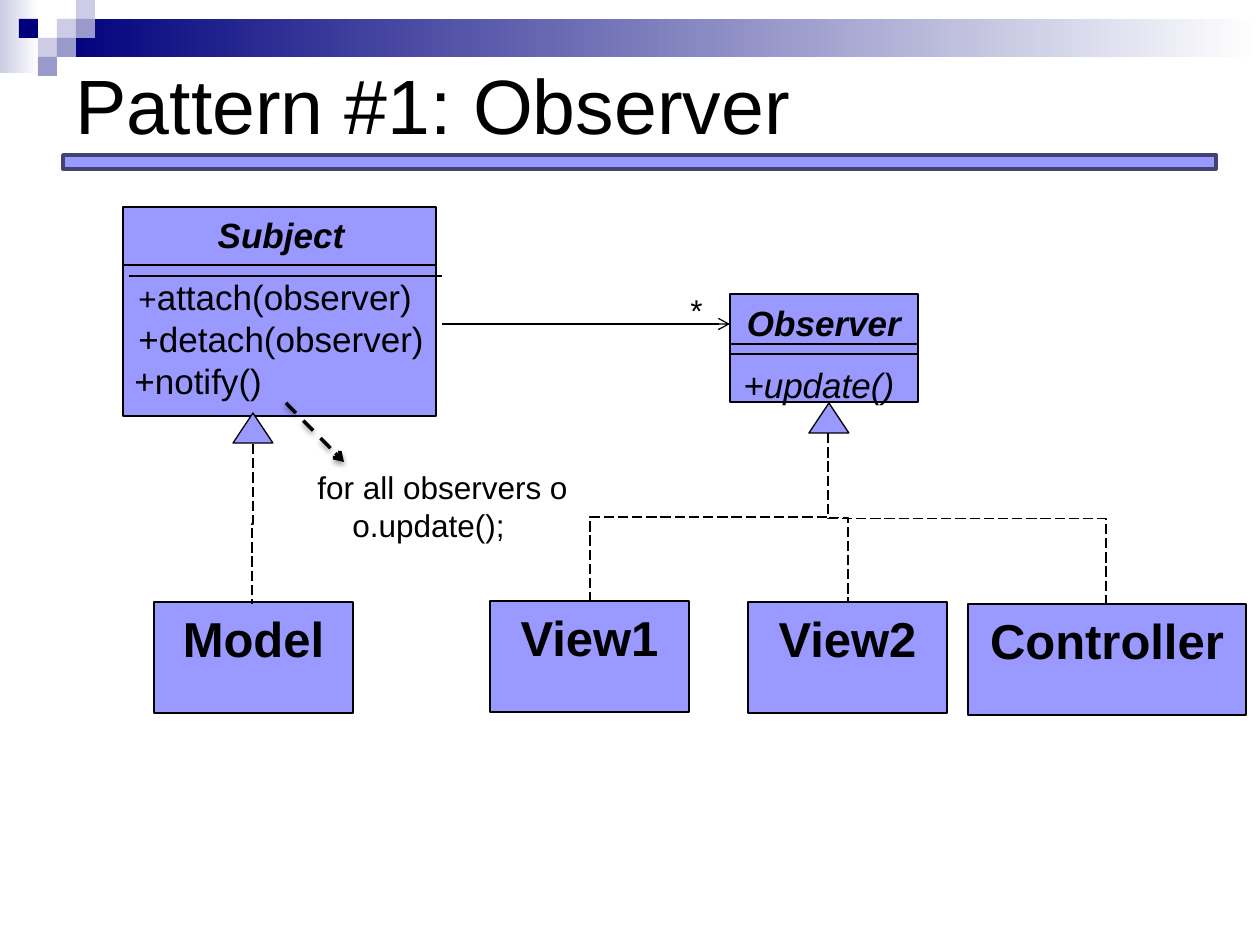
import pptx
import pptx.util
import pptx.dml.color
import pptx.enum.dml
import pptx.enum.shapes
import pptx.enum.text
import pptx.oxml
import pptx.oxml.ns
from dataclasses import dataclass

SCALE = 914400 / 126
KIND = pptx.enum.shapes.MSO_SHAPE
LINK = pptx.enum.shapes.MSO_CONNECTOR
DASH = pptx.enum.dml.MSO_LINE
ALIGN = pptx.enum.text.PP_ALIGN
ANCHOR = pptx.enum.text.MSO_ANCHOR


def px(n):
    return pptx.util.Emu(round(n * SCALE))


def rgb(code):
    return pptx.dml.color.RGBColor.from_string(code)


@dataclass(frozen=True)
class Theme:
    font: str = "Arial"
    ink: str = "000000"
    box: str = "9999FF"
    rim: str = "434370"
    navy: str = "00007D"
    mid: str = "9999CC"
    pale: str = "CCCCE6"
    white: str = "FFFFFF"
    title: int = 44
    name: int = 28
    body: int = 20
    note: int = 18
    thin: float = 0.75
    thick: float = 2


class Draw:
    def __init__(self, slide, theme):
        self.slide = slide
        self.theme = theme

    def run(self, par, text, size, bold=False, italic=False):
        run = par.add_run()
        run.text = text
        font = run.font
        font.name = self.theme.font
        font.size = pptx.util.Pt(size)
        font.bold, font.italic = bold, italic
        font.color.rgb = rgb(self.theme.ink)

    def title(self, text, x, y, w, h):
        head = self.slide.shapes.title
        head.left, head.top, head.width, head.height = map(px, (x, y, w, h))
        head.text_frame.vertical_anchor = ANCHOR.MIDDLE
        par = head.text_frame.paragraphs[0]
        par.alignment = ALIGN.LEFT
        self.run(par, text, self.theme.title)

    def shape(self, x, y, w, h, fill, line=None, width=None, kind=KIND.RECTANGLE):
        item = self.slide.shapes.add_shape(kind, px(x), px(y), px(w), px(h))
        item.shadow.inherit = False
        item.fill.solid()
        item.fill.fore_color.rgb = rgb(fill)
        if line:
            item.line.color.rgb = rgb(line)
            item.line.width = pptx.util.Pt(width)
        else:
            item.line.fill.background()
        return item

    def fade(self, x, y, w, h, start):
        """Rectangle that fades from start to white, left to right."""
        fill = self.shape(x, y, w, h, start).fill
        fill.gradient()
        fill.gradient_angle = 0
        for stop, code in zip(fill.gradient_stops, (start, self.theme.white)):
            stop.color.rgb = rgb(code)

    def box(self, x, y, w, h, kind=KIND.RECTANGLE):
        look = self.theme
        return self.shape(x, y, w, h, look.box, look.ink, look.thin, kind)

    def node(self, name, x, y, w=199):
        frame = self.box(x, y, w, 111).text_frame
        frame.vertical_anchor = ANCHOR.TOP
        par = frame.paragraphs[0]
        par.alignment = ALIGN.CENTER
        self.run(par, name, self.theme.name, bold=True)

    def text(self, x, y, w, h, lines):
        """Each line is (runs, indent in px); an indent of None centres it."""
        frame = self.slide.shapes.add_textbox(px(x), px(y), px(w), px(h)).text_frame
        frame.word_wrap = True
        for n, (runs, indent) in enumerate(lines):
            par = frame.add_paragraph() if n else frame.paragraphs[0]
            par.alignment = ALIGN.CENTER if indent is None else ALIGN.LEFT
            if indent:
                par._p.get_or_add_pPr().set("marL", str(px(indent)))
            for run in runs:
                self.run(par, *run)
        return frame

    def members(self, x, y, w, h, name, lines):
        """Class name above its members, with a gap between."""
        head = ([(name, self.theme.body, True, True)], None)
        frame = self.text(x, y, w, h, [head] + lines)
        frame.paragraphs[1].space_before = pptx.util.Pt(11.5)

    def line(self, x1, y1, x2, y2, kind=LINK.STRAIGHT, width=None, dash=None,
             arrow=False, shade=False):
        item = self.slide.shapes.add_connector(kind, px(x1), px(y1), px(x2), px(y2))
        item.line.color.rgb = rgb(self.theme.ink)
        item.line.width = pptx.util.Pt(width or self.theme.thin)
        if dash:
            item.line.dash_style = dash
        props = item._element.spPr
        make = pptx.oxml.ns.qn
        if arrow:
            tip = props.find(make("a:ln"))
            tip.append(tip.makeelement(make("a:tailEnd"), {"type": "arrow"}))
        effect = props.makeelement(make("a:effectLst"), {})
        props.append(effect)
        if shade:
            effect.append(pptx.oxml.parse_xml(
                f'<a:outerShdw {pptx.oxml.ns.nsdecls("a")} blurRad="39370" '
                'dist="20320" dir="5400000" rotWithShape="0">'
                f'<a:srgbClr val="{self.theme.ink}"><a:alpha val="38000"/>'
                '</a:srgbClr></a:outerShdw>'))
        return item

    def elbow(self, x1, y1, x2, y2):
        """Dashed bend that leaves downwards: a level bend, turned a quarter."""
        mx, my = (x1 + x2) / 2, (y1 + y2) / 2
        dx, dy = abs(x2 - x1) / 2, (y2 - y1) / 2
        right = x2 > x1
        side = dy if right else -dy
        item = self.line(mx + side, my - dx, mx - side, my + dx,
                         LINK.ELBOW, dash=DASH.LONG_DASH)
        turn = 270 if right else 90
        item._element.spPr.xfrm.set("rot", str(turn * 60000))


def main():
    deck = pptx.Presentation()
    deck.slide_width, deck.slide_height = px(1260), px(945)
    look = Theme()
    draw = Draw(deck.slides.add_slide(deck.slide_layouts[5]), look)
    body, note = look.body, look.note

    draw.fade(0, 0, 39, 73, look.pale)
    draw.fade(57, 19, 1203, 38, look.navy)
    tile = 19
    for col, row, code in ((3, 1, look.pale), (4, 0, look.pale), (4, 1, look.mid),
                           (2, 2, look.pale), (1, 1, look.navy), (3, 2, look.mid),
                           (2, 3, look.mid)):
        draw.shape(col * tile, row * tile, tile, tile, code)
    draw.shape(63, 155, 1153, 14, look.box, look.rim, look.thick)
    draw.title("Pattern #1: Observer", 63, 9, 1134, 189)

    draw.box(123, 207, 313, 209)
    draw.members(95, 207, 372, 238, "Subject", [
        ([("+", note), ("attach(observer)", body)], 31),
        ([("+detach(observer)", body)], 31),
        ([("+notify()", body)], 27)])
    draw.line(123, 265, 436, 265)
    draw.line(129, 276, 442, 276)
    draw.line(442, 324, 730, 324, arrow=True)

    draw.box(730, 294, 188, 108)
    draw.members(731, 295, 186, 118, "Observer",
                 [([("+update()", body, False, True)], 0)])
    for y in (344, 354):
        draw.line(730, y, 918, y)

    for x, y in ((809, 403), (233, 413)):
        draw.box(x, y, 40, 30, KIND.ISOSCELES_TRIANGLE)

    draw.node("Model", 154, 602)
    draw.elbow(253, 444, 252, 604)
    for name, x, y, w, end in (("View1", 490, 601, 199, 590),
                               ("View2", 748, 602, 199, 848),
                               ("Controller", 968, 604, 278, 1106)):
        draw.node(name, x, y, w)
        draw.elbow(828, 433, end, y)

    draw.text(305, 462, 300, 89, [([("for all observers o", note)], 0),
                                  ([("o.update();", note)], 35)])
    draw.line(286, 403, 344, 462, width=look.thick, dash=DASH.DASH,
              arrow=True, shade=True)
    draw.text(678, 285, 44, 50, [([("*", note)], 0)])
    deck.save("out.pptx")


if __name__ == "__main__":
    main()
